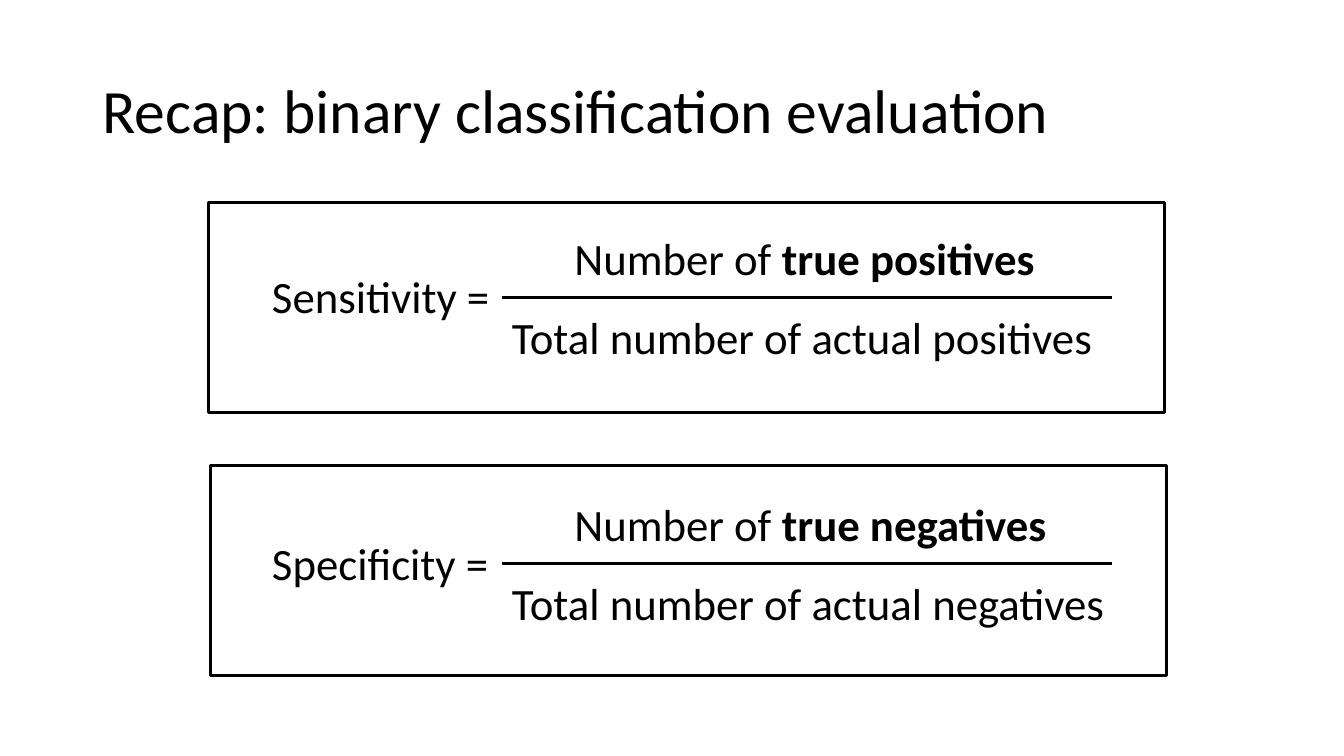
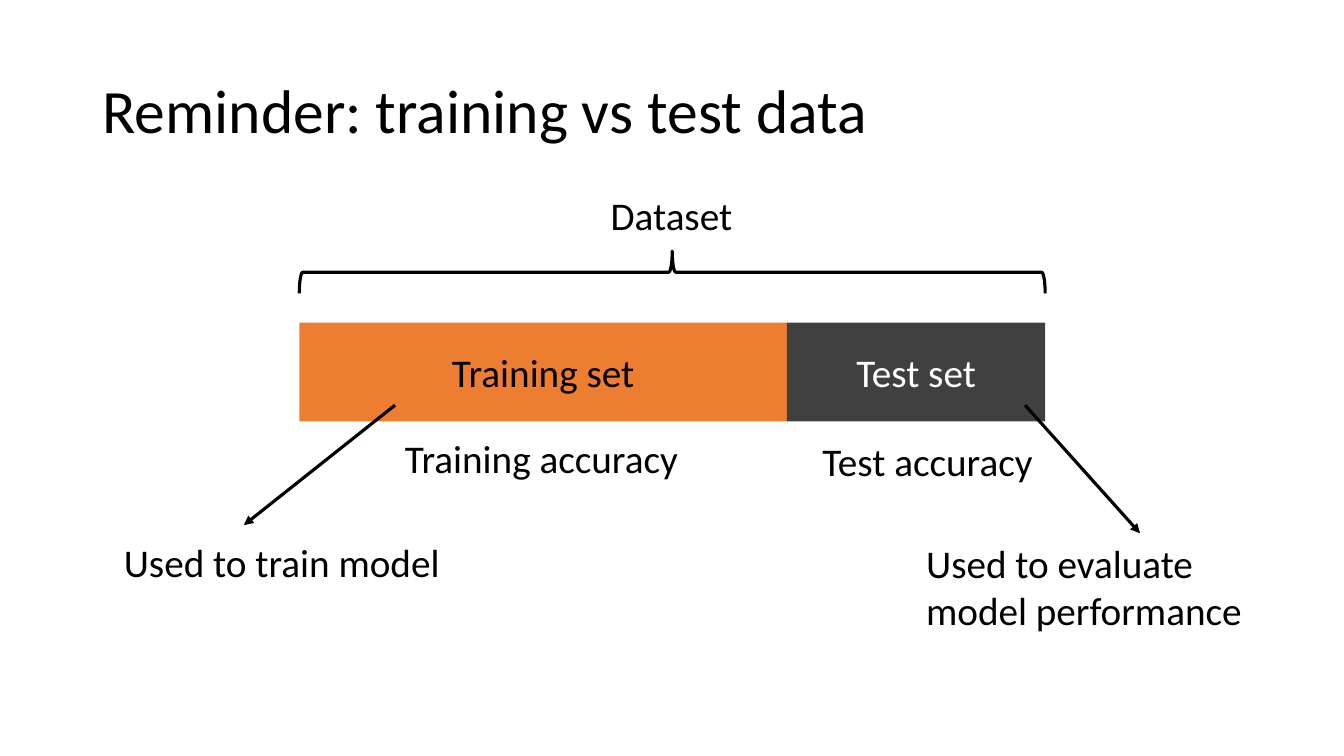
from collections import namedtuple

from lxml.etree import SubElement
from pptx import Presentation
from pptx.dml.color import RGBColor
from pptx.enum.shapes import MSO_CONNECTOR, MSO_SHAPE
from pptx.enum.text import MSO_ANCHOR, PP_ALIGN
from pptx.oxml.ns import qn
from pptx.util import Pt

Box = namedtuple("Box", "left top width height")

FONT = "Calibri"
BLACK = "000000"
WHITE = "FFFFFF"
ORANGE = "ED7D31"
CHARCOAL = "404040"
LINE_WIDTH = 2.25
TITLE_BOX = Box(66, 28.75, 828, 104.4)
FORMULA_SIZE = 32
DIAGRAM_SIZE = 28


def color(hex_value):
    return RGBColor.from_string(hex_value)


def points(*values):
    return [Pt(value) for value in values]


def write(frame, text, size, font_color=BLACK, bold_text="", align=PP_ALIGN.LEFT,
          anchor=MSO_ANCHOR.TOP, wrap=True, spacing=None):
    frame.word_wrap = wrap
    frame.vertical_anchor = anchor
    paragraph = frame.paragraphs[0]
    paragraph.alignment = align
    paragraph.line_spacing = spacing
    for part, bold in ((text, False), (bold_text, True)):
        if part:
            run = paragraph.add_run()
            run.text = part
            run.font.name = FONT
            run.font.size = Pt(size)
            run.font.bold = bold
            run.font.color.rgb = color(font_color)


def add_text(slide, box, text, size, **text_format):
    text_box = slide.shapes.add_textbox(*points(*box))
    write(text_box.text_frame, text, size, **text_format)


def add_block(slide, kind, box, fill=None, line=None):
    shape = slide.shapes.add_shape(kind, *points(*box))
    shape.shadow.inherit = False
    if fill:
        shape.fill.solid()
        shape.fill.fore_color.rgb = color(fill)
    else:
        shape.fill.background()
    if line:
        shape.line.color.rgb = color(line)
        shape.line.width = Pt(LINE_WIDTH)
    else:
        shape.line.fill.background()
    return shape


def add_line(slide, start, end, arrow=False):
    connector = slide.shapes.add_connector(MSO_CONNECTOR.STRAIGHT, *points(*start, *end))
    connector.line.color.rgb = color(BLACK)
    connector.line.width = Pt(LINE_WIDTH)
    if arrow:
        SubElement(connector.line._get_or_add_ln(), qn("a:tailEnd"), type="triangle")
    SubElement(connector._element.spPr, qn("a:effectLst"))


def add_titled_slide(presentation, title):
    slide = presentation.slides.add_slide(presentation.slide_layouts[5])
    placeholder = slide.shapes.title
    placeholder.left, placeholder.top, placeholder.width, placeholder.height = points(*TITLE_BOX)
    write(placeholder.text_frame, title, 44, anchor=MSO_ANCHOR.MIDDLE, spacing=0.9)
    return slide


def add_formula(slide, box, inset, measure, outcome, numerator_width):
    add_block(slide, MSO_SHAPE.RECTANGLE, box, line=BLACK)
    left, top = box.left + inset[0], box.top + inset[1]
    fraction_left = left + 171.4
    bar_top = top + 51.1
    add_text(slide, Box(left, top + 27.4, 171.4, 46), f"{measure} =", FORMULA_SIZE, wrap=False)
    add_text(slide, Box(left + 216, top, numerator_width, 46), "Number of ", FORMULA_SIZE,
             bold_text=f"true {outcome}", wrap=False)
    add_line(slide, (fraction_left, bar_top), (fraction_left + 435.6, bar_top))
    add_text(slide, Box(fraction_left, top + 56.1, 455, 46),
             f"Total number of actual {outcome}", FORMULA_SIZE)


def add_dataset_brace(slide, box):
    middle = box.left + box.width / 2
    center = box.top - 36
    depth = 30.2
    brace = add_block(slide, MSO_SHAPE.RIGHT_BRACE,
                      Box(middle - depth / 2, center - box.width / 2, depth, box.width),
                      line=BLACK)
    brace.rotation = 270
    add_text(slide, Box(middle - 51.1, box.top - 97.2, 102.2, 41), "Dataset",
             DIAGRAM_SIZE, wrap=False)


def add_subset(slide, box, name, fill, font_color, accuracy, arrow, purpose, purpose_box):
    def offset(left, top, *size):
        return (box.left + left, box.top + top, *size)

    block = add_block(slide, MSO_SHAPE.RECTANGLE, box, fill=fill)
    write(block.text_frame, f"{name} set", DIAGRAM_SIZE, font_color=font_color,
          align=PP_ALIGN.CENTER, anchor=MSO_ANCHOR.MIDDLE)
    add_text(slide, offset(*accuracy), f"{name} accuracy", DIAGRAM_SIZE, wrap=False)
    start, end = arrow
    add_line(slide, offset(*start), offset(*end), arrow=True)
    add_text(slide, offset(*purpose_box), purpose, DIAGRAM_SIZE)


def build_evaluation_slide(presentation):
    slide = add_titled_slide(presentation, "Recap: binary classification evaluation")
    add_formula(slide, Box(149, 144.7, 682.6, 149.8), (38.2, 16.6),
                "Sensitivity", "positives", 346.3)
    add_formula(slide, Box(150.5, 332.6, 682.6, 149.8), (36.7, 18.8),
                "Specificity", "negatives", 355)


def build_data_slide(presentation):
    slide = add_titled_slide(presentation, "Reminder: training vs test data")
    dataset = Box(213.8, 230.4, 532.8, 70.6)
    training = dataset._replace(width=348.3)
    test = dataset._replace(left=dataset.left + training.width,
                            width=dataset.width - training.width)
    add_dataset_brace(slide, dataset)
    add_subset(slide, training, "Training", ORANGE, BLACK, (68.4, 76.3, 211.7, 41),
               ((68.4, 59), (-39.6, 144.7)), "Used to train model", (-132.4, 150.5, 250, 41))
    add_subset(slide, test, "Test", CHARCOAL, WHITE, (18.2, 78.5, 166.3, 41),
               ((170.1, 59), (252.2, 150.5)), "Used to evaluate model performance",
               (92.4, 151.2, 242.6, 75))


def main():
    presentation = Presentation()
    presentation.slide_width, presentation.slide_height = points(960, 540)
    build_evaluation_slide(presentation)
    build_data_slide(presentation)
    presentation.save("out.pptx")


if __name__ == "__main__":
    main()
